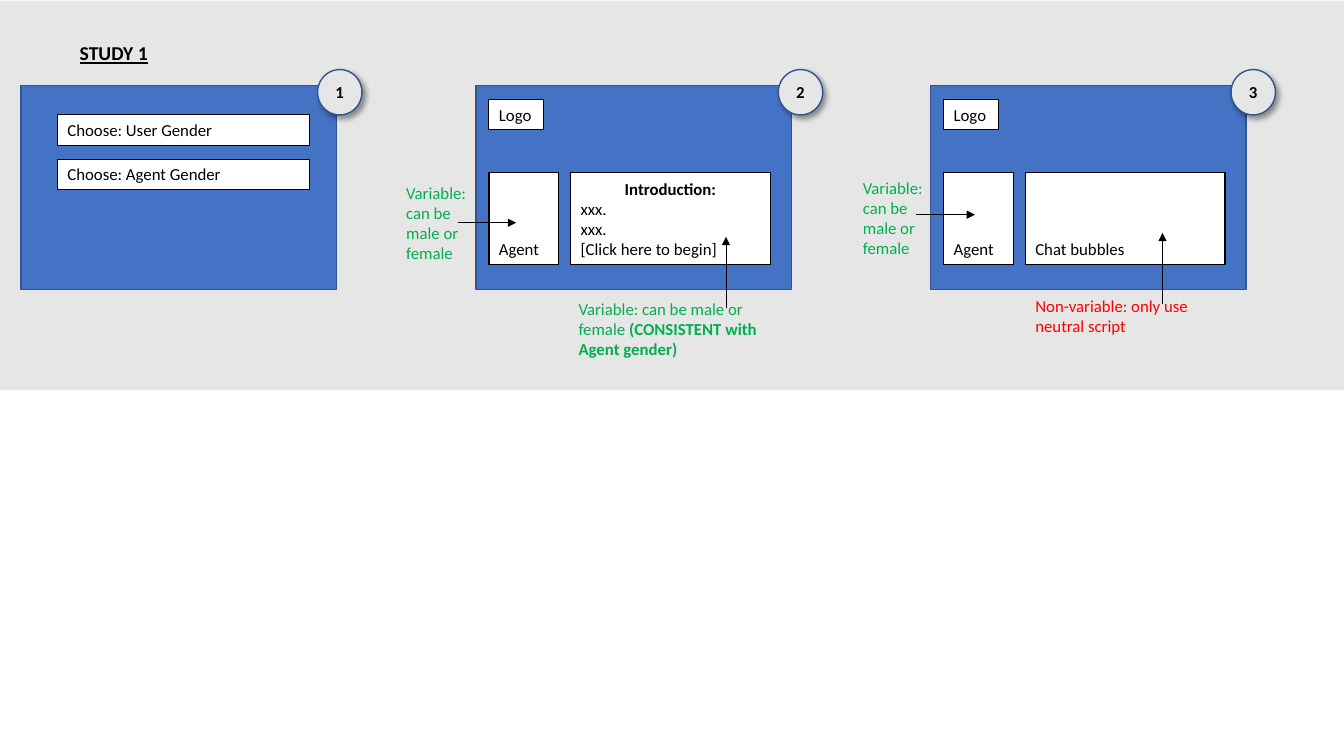
"""Build the STUDY 1 slide: three chat screens with notes on the varied parts."""
import pptx
import pptx.util
from lxml import etree
from pptx.dml.color import RGBColor
from pptx.enum.shapes import MSO_CONNECTOR, MSO_SHAPE
from pptx.enum.text import MSO_ANCHOR, MSO_AUTO_SIZE, PP_ALIGN
from pptx.oxml import parse_xml
from pptx.oxml.ns import nsdecls, qn
from pptx.util import Inches, Pt

BLACK = RGBColor(0x00, 0x00, 0x00)
WHITE = RGBColor(0xFF, 0xFF, 0xFF)
GREY = RGBColor(0xE7, 0xE6, 0xE6)
BLUE = RGBColor(0x44, 0x72, 0xC4)
NAVY = RGBColor(0x32, 0x54, 0x91)
GREEN = RGBColor(0x00, 0xB0, 0x50)
RED = RGBColor(0xFF, 0x00, 0x00)
FONT = "Calibri"

HEADING = "STUDY 1"
CHOICES = ["Choose: User Gender", "Choose: Agent Gender"]
INTRODUCTION = [
    [("Introduction:", True)],
    [("xxx.", False)],
    [("xxx.", False)],
    [("[Click here to begin]", False)],
]
CHAT = [[("Chat bubbles", False)]]
CHOICE_SCREEN_LEFT = 0.21
CHAT_SCREENS = [(4.72, INTRODUCTION), (9.23, CHAT)]
AGENT_NOTE = [("Variable: can be male or female", False)]
SCRIPT_NOTE = [
    ("Variable: can be male or female ", False),
    ("(CONSISTENT with Agent gender)", True),
]
NEUTRAL_NOTE = [("Non-variable: only use neutral script", False)]
NOTES = [
    (AGENT_NOTE, GREEN, (3.93, 1.76, 0.86, 0.91)),
    (AGENT_NOTE, GREEN, (8.46, 1.71, 0.86, 0.91)),
    (SCRIPT_NOTE, GREEN, (5.64, 2.91, 2, 0.71)),
    (NEUTRAL_NOTE, RED, (10.17, 2.88, 1.98, 0.5)),
]
ARROWS = [
    (4.54, 2.21, 5.12, 2.21),
    (9.09, 2.13, 9.67, 2.13),
    (7.2, 3.06, 7.2, 2.35),
    (11.53, 3.02, 11.53, 2.31),
]
BADGES = [("1", 3.15), ("2", 7.72), ("3", 12.21)]


def write(frame, paragraphs, color=BLACK, size=12, anchor=MSO_ANCHOR.TOP):
    """Fill a text frame with paragraphs of (wording, bold) runs."""
    frame.word_wrap = True
    frame.auto_size = MSO_AUTO_SIZE.NONE
    frame.vertical_anchor = anchor
    for index, runs in enumerate(paragraphs):
        paragraph = frame.add_paragraph() if index else frame.paragraphs[0]
        paragraph.alignment = PP_ALIGN.LEFT
        for wording, bold in runs:
            run = paragraph.add_run()
            run.text = wording
            run.font.name = FONT
            run.font.size = Pt(size)
            run.font.bold = bold
            run.font.color.rgb = color


def add_block(slide, box, fill, line=None, width=1, kind=MSO_SHAPE.RECTANGLE):
    """Add a filled shape without a shadow."""
    block = slide.shapes.add_shape(kind, *map(Inches, box))
    block.shadow.inherit = False
    block.fill.solid()
    block.fill.fore_color.rgb = fill
    if line is None:
        block.line.fill.background()
    else:
        block.line.color.rgb = line
        block.line.width = Pt(width)
    return block


def add_field(slide, box, paragraphs, anchor=MSO_ANCHOR.TOP):
    """Add a white outlined field with text."""
    field = add_block(slide, box, WHITE, BLACK, 0.75)
    write(field.text_frame, paragraphs, anchor=anchor)
    field.text_frame.margin_right = 0 if len(paragraphs) == 1 else Inches(0.1)
    return field


def add_screen(slide, left):
    """Add the blue screen behind the fields."""
    add_block(slide, (left, 0.85, 3.13, 2.02), BLUE, NAVY)


def add_arrow(slide, ends):
    """Add a thin black arrow."""
    arrow = slide.shapes.add_connector(MSO_CONNECTOR.STRAIGHT, *map(Inches, ends))
    arrow.line.color.rgb = BLACK
    arrow.line.width = Pt(0.5)
    etree.SubElement(arrow.line._get_or_add_ln(), qn("a:tailEnd"), type="triangle")
    etree.SubElement(arrow.element.spPr, qn("a:effectLst"))


def add_badge(slide, number, left):
    """Add a numbered circle with a soft shadow."""
    badge = add_block(slide, (left, 0.69, 0.44, 0.45), GREY, NAVY, kind=MSO_SHAPE.OVAL)
    write(badge.text_frame, [[(number, True)]], anchor=MSO_ANCHOR.MIDDLE)
    badge.text_frame.paragraphs[0].alignment = PP_ALIGN.CENTER
    badge.element.spPr.find(qn("a:effectLst")).append(parse_xml(
        f'<a:outerShdw {nsdecls("a")} blurRad="{Pt(4)}" dist="{Pt(3)}" '
        'dir="2700000" algn="tl" rotWithShape="0"><a:srgbClr val="000000">'
        '<a:alpha val="40000"/></a:srgbClr></a:outerShdw>'))


def main():
    """Lay out the slide and save it."""
    deck = pptx.Presentation()
    deck.slide_width, deck.slide_height = Inches(13.33), Inches(7.5)
    slide = deck.slides.add_slide(deck.slide_layouts[5])

    band = add_block(slide, (0, 0.01, 13.33, 3.86), GREY)
    heading = slide.shapes.title
    heading.left, heading.top = Inches(0.69), Inches(0.36)
    heading.width, heading.height = Inches(2.04), Inches(0.34)
    write(heading.text_frame, [[(HEADING, True)]], size=14)
    heading.text_frame.paragraphs[0].runs[0].font.underline = True
    band.element.addnext(heading.element)

    add_screen(slide, CHOICE_SCREEN_LEFT)
    for row, choice in enumerate(CHOICES):
        add_field(slide, (0.57, 1.14 + 0.44 * row, 2.5, 0.3), [[(choice, False)]])

    for left, message in CHAT_SCREENS:
        add_screen(slide, left)
        add_field(slide, (left + 0.13, 0.99, 0.54, 0.3), [[("Logo", False)]])
        add_field(slide, (left + 0.13, 1.71, 0.69, 0.91), [[("Agent", False)]],
                  MSO_ANCHOR.BOTTOM)
        bubble = add_field(slide, (left + 0.94, 1.71, 1.98, 0.91), message,
                           MSO_ANCHOR.BOTTOM)
        if message is INTRODUCTION:
            bubble.text_frame.paragraphs[0].alignment = PP_ALIGN.CENTER

    for runs, color, box in NOTES:
        note = slide.shapes.add_textbox(*map(Inches, box))
        write(note.text_frame, [runs], color)
    for ends in ARROWS:
        add_arrow(slide, ends)
    for number, left in BADGES:
        add_badge(slide, number, left)

    deck.save("out.pptx")


if __name__ == "__main__":
    main()
